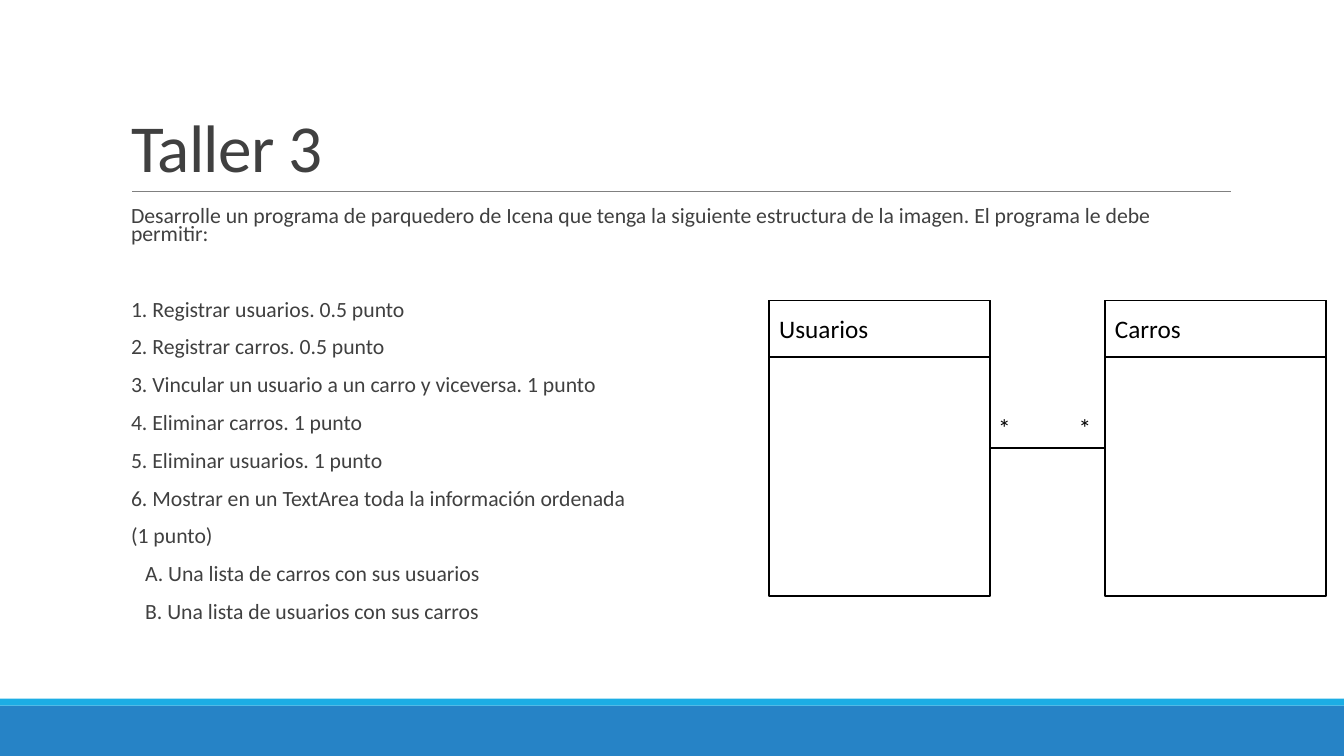
from dataclasses import dataclass

from pptx import Presentation
from pptx.dml.color import RGBColor
from pptx.enum.shapes import MSO_CONNECTOR as LINE, MSO_SHAPE as SHAPE
from pptx.enum.text import MSO_ANCHOR as ANCHOR, MSO_AUTO_SIZE as FIT, PP_ALIGN as ALIGN
from pptx.oxml.ns import qn
from pptx.util import Inches, Pt
from lxml.etree import SubElement


@dataclass(frozen=True)
class Theme:
    font: str = "Calibri"
    ink: str = "404040"
    black: str = "000000"
    white: str = "FFFFFF"
    rule: str = "808080"
    band: str = "2683C6"
    accent: str = "1CADE4"
    title_pt: float = 48
    body_pt: float = 15.5
    label_pt: float = 18


class Deck:
    COLS = ROWS = 100

    def __init__(self, theme):
        self.theme = theme
        self.prs = Presentation()
        self.prs.slide_width, self.prs.slide_height = Inches(13.33), Inches(7.5)
        self.s = self.prs.slides.add_slide(self.prs.slide_layouts[1])

    def x(self, cols):
        return round(self.prs.slide_width * cols / self.COLS)

    def y(self, rows):
        return round(self.prs.slide_height * rows / self.ROWS)

    def box(self, left, top, width, height):
        return self.x(left), self.y(top), self.x(width), self.y(height)

    def run(self, p, text, size, color):
        r = p.add_run()
        r.text = text
        r.font.name, r.font.size = self.theme.font, Pt(size)
        r.font.color.rgb = RGBColor.from_string(color)
        return r

    def place(self, sp, at, anchor):
        sp.left, sp.top, sp.width, sp.height = self.box(*at)
        tf = sp.text_frame
        tf.word_wrap, tf.auto_size, tf.vertical_anchor = True, FIT.NONE, anchor
        return tf

    def title(self, text, at):
        p = self.place(self.s.shapes.title, at, ANCHOR.BOTTOM).paragraphs[0]
        p.alignment, p.line_spacing = ALIGN.LEFT, 0.85
        r = self.run(p, text, self.theme.title_pt, self.theme.ink)
        r.font._element.set("spc", "-50")

    def body(self, items, at):
        tf = self.place(self.s.placeholders[1], at, ANCHOR.TOP)
        tf.margin_left = tf.margin_right = 0
        for i, (text, before, indent) in enumerate(items):
            p = tf.paragraphs[0] if i == 0 else tf.add_paragraph()
            pPr = p._p.get_or_add_pPr()
            pPr.set("marL", str(Inches(indent)))
            pPr.set("indent", "0")
            SubElement(pPr, qn("a:buNone"))
            p.line_spacing, p.space_before, p.space_after = 0.7, Pt(before), Pt(2)
            self.run(p, text, self.theme.body_pt, self.theme.ink)

    def rect(self, at, fill, outline=None, text=None):
        sp = self.s.shapes.add_shape(SHAPE.RECTANGLE, *self.box(*at))
        sp.shadow.inherit = False
        sp.fill.solid()
        sp.fill.fore_color.rgb = RGBColor.from_string(fill)
        if outline:
            sp.line.color.rgb = RGBColor.from_string(outline)
            sp.line.width = Pt(1.25)
        else:
            sp.line.fill.background()
        if text:
            tf = sp.text_frame
            tf.word_wrap, tf.vertical_anchor = True, ANCHOR.MIDDLE
            p = tf.paragraphs[0]
            p.alignment = ALIGN.LEFT
            self.run(p, text, self.theme.label_pt, self.theme.black)
        return sp

    def entity(self, name, left, top, width, height, header):
        frame = self.rect((left, top, width, height), self.theme.white, self.theme.black)
        self.rect((left, top, width, header), self.theme.white, self.theme.black, name)
        return frame

    def line(self, start, end, color, weight):
        ends = self.x(start[0]), self.y(start[1]), self.x(end[0]), self.y(end[1])
        c = self.s.shapes.add_connector(LINE.STRAIGHT, *ends)
        c.line.color.rgb, c.line.width = RGBColor.from_string(color), Pt(weight)
        SubElement(c._element.spPr, qn("a:effectLst"))
        return c

    def tabbed_label(self, text, at, stop):
        sp = self.s.shapes.add_textbox(*self.box(*at))
        p = self.place(sp, at, ANCHOR.TOP).paragraphs[0]
        tabs = SubElement(p._p.get_or_add_pPr(), qn("a:tabLst"))
        SubElement(tabs, qn("a:tab"), pos=str(self.x(stop)), algn="l")
        self.run(p, text, self.theme.label_pt, self.theme.black)


def main():
    theme = Theme()
    deck = Deck(theme)
    deck.rect((0, 93.33, 100, 6.67), theme.band)
    deck.rect((0, 92.4, 100, 0.93), theme.accent)
    deck.line((9.83, 25.33), (91.6, 25.33), theme.rule, 0.5)

    deck.title("Taller 3", (9, 4.13, 82.5, 21.2))
    deck.body([
        ("Desarrolle un programa de parquedero de Icena que tenga la siguiente "
         "estructura de la imagen. El programa le debe permitir:", 12, 0.1),
        ("1. Registrar usuarios. 0.5 punto", 39, 0.1),
        ("2. Registrar carros. 0.5 punto", 12, 0.1),
        ("3. Vincular un usuario a un carro y viceversa. 1 punto", 12, 0.1),
        ("4. Eliminar carros. 1 punto", 12, 0.1),
        ("5. Eliminar usuarios. 1 punto", 12, 0.1),
        ("6. Mostrar en un TextArea toda la información ordenada", 12, 0.1),
        ("(1 punto)", 12, 0.1),
        ("A. Una lista de carros con sus usuarios", 12, 0.24),
        ("B. Una lista de usuarios con sus carros", 12, 0.24),
    ], (9, 26.93, 82.5, 58.67))

    top, width, height, header = 39.73, 16.43, 39.07, 7.47
    users_left, cars_left = 57.24, 82.22
    users = deck.entity("Usuarios", users_left, top, width, height, header)
    cars = deck.entity("Carros", cars_left, top, width, height, header)
    middle = top + height / 2
    link = deck.line((users_left + width, middle), (cars_left, middle), theme.black, 1)
    link.begin_connect(users, 3)
    link.end_connect(cars, 1)
    deck.tabbed_label("*\t*", (73.52, 53.87, 12.38, 5.33), 6)

    deck.prs.save("out.pptx")


if __name__ == "__main__":
    main()
